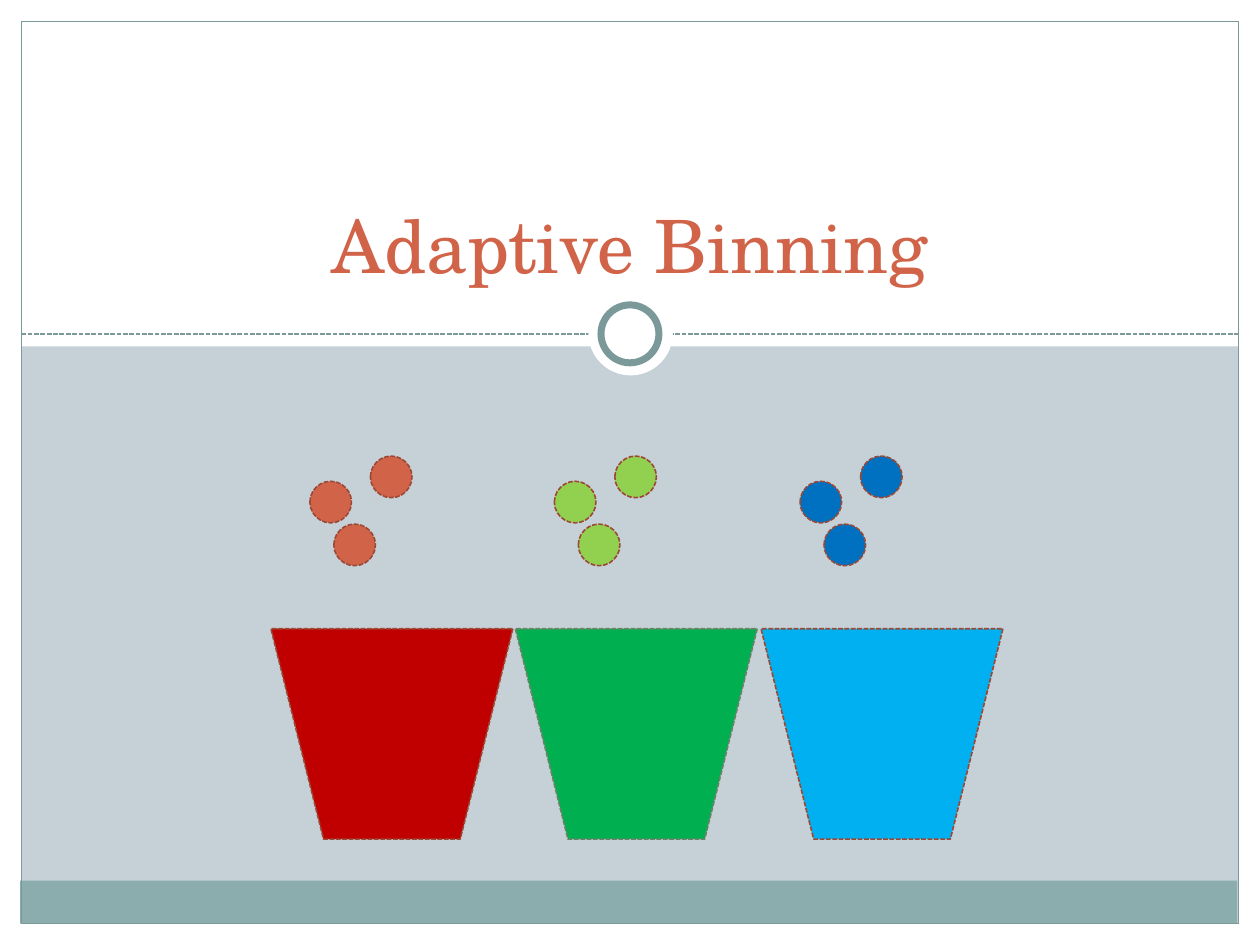
from lxml import etree
from pptx import Presentation
from pptx.dml.color import RGBColor
from pptx.enum.dml import MSO_LINE
from pptx.enum.shapes import MSO_CONNECTOR, MSO_SHAPE
from pptx.enum.text import MSO_ANCHOR, PP_ALIGN
from pptx.oxml.ns import qn
from pptx.util import Inches, Pt

RECT = MSO_SHAPE.RECTANGLE
OVAL = MSO_SHAPE.OVAL
TRAPEZOID = MSO_SHAPE.TRAPEZOID
DASH = MSO_LINE.SQUARE_DOT
STRAIGHT = MSO_CONNECTOR.STRAIGHT
BOTTOM = MSO_ANCHOR.BOTTOM
CENTER = PP_ALIGN.CENTER

WHITE = RGBColor(0xFF, 0xFF, 0xFF)
BACKGROUND = RGBColor(0xC5, 0xD1, 0xD7)
FOOTER = RGBColor(0x8C, 0xAD, 0xAE)
FRAME = RGBColor(0x7C, 0x99, 0x9A)
ORANGE = RGBColor(0xD1, 0x63, 0x49)
BROWN = RGBColor(0x9B, 0x49, 0x36)
OLIVE = RGBColor(0x6A, 0x82, 0x68)
RED = RGBColor(0xC0, 0x00, 0x00)
GREEN = RGBColor(0x00, 0xB0, 0x50)
SKY = RGBColor(0x00, 0xB0, 0xF0)
LIME = RGBColor(0x92, 0xD0, 0x50)
BLUE = RGBColor(0x00, 0x70, 0xC0)

prs = Presentation()
prs.slide_width = Inches(10)
prs.slide_height = Inches(7.5)
s = prs.slides.add_slide(prs.slide_layouts[6])
s.background.fill.solid()
s.background.fill.fore_color.rgb = BACKGROUND


def add_shape(kind, x, y, w, h, fill=None, line=None, width=0.9, dash=None):
    sp = s.shapes.add_shape(kind, Inches(x), Inches(y), Inches(w), Inches(h))
    sp.shadow.inherit = False
    if fill is None:
        sp.fill.background()
    else:
        sp.fill.solid()
        sp.fill.fore_color.rgb = fill
    if line is None:
        sp.line.fill.background()
    else:
        sp.line.color.rgb = line
        sp.line.width = Pt(width)
        sp.line.dash_style = dash
    return sp


for x, y, w, h in [(0, 7.33, 10, 0.17), (9.83, 0, 0.17, 7.5),
                   (0, 0, 0.17, 7.5), (0, 0, 10, 2.75)]:
    add_shape(RECT, x, y, w, h, WHITE)
add_shape(RECT, 0.16, 6.99, 9.66, 0.34, FOOTER)

divider = s.shapes.add_connector(STRAIGHT, Inches(0.17), Inches(2.65), Inches(9.83), Inches(2.65))
divider.line.color.rgb = FRAME
divider.line.width = Pt(0.9)
divider.line.dash_style = DASH
etree.SubElement(divider._element.spPr, qn("a:effectLst"))

add_shape(RECT, 0.17, 0.17, 9.66, 7.16, line=FRAME, width=0.75)
add_shape(OVAL, 4.67, 2.31, 0.67, 0.67, WHITE)
add_shape(OVAL, 4.77, 2.42, 0.46, 0.46, WHITE, FRAME, 4)

title = s.shapes.add_textbox(Inches(0.75), Inches(0.42), Inches(8.5), Inches(1.92))
tf = title.text_frame
tf.word_wrap = True
tf.vertical_anchor = BOTTOM
p = tf.paragraphs[0]
p.text = "Adaptive Binning"
p.alignment = CENTER
r = p.runs[0]
r.font.name = "TeX Gyre Schola"
r.font.size = Pt(42)
r.font.color.rgb = ORANGE

bins = [(2.15, RED, BROWN, ORANGE), (4.09, GREEN, OLIVE, LIME), (6.04, SKY, BROWN, BLUE)]
balls = [(0.31, 3.82), (0.5, 4.16), (0.79, 3.62)]
for x, bin_fill, bin_line, ball_fill in bins:
    sp = add_shape(TRAPEZOID, x, 4.99, 1.92, 1.67, bin_fill, bin_line, dash=DASH)
    sp.rotation = 180
    for dx, y in balls:
        add_shape(OVAL, x + dx, y, 0.33, 0.33, ball_fill, BROWN, dash=DASH)

prs.save("out.pptx")
